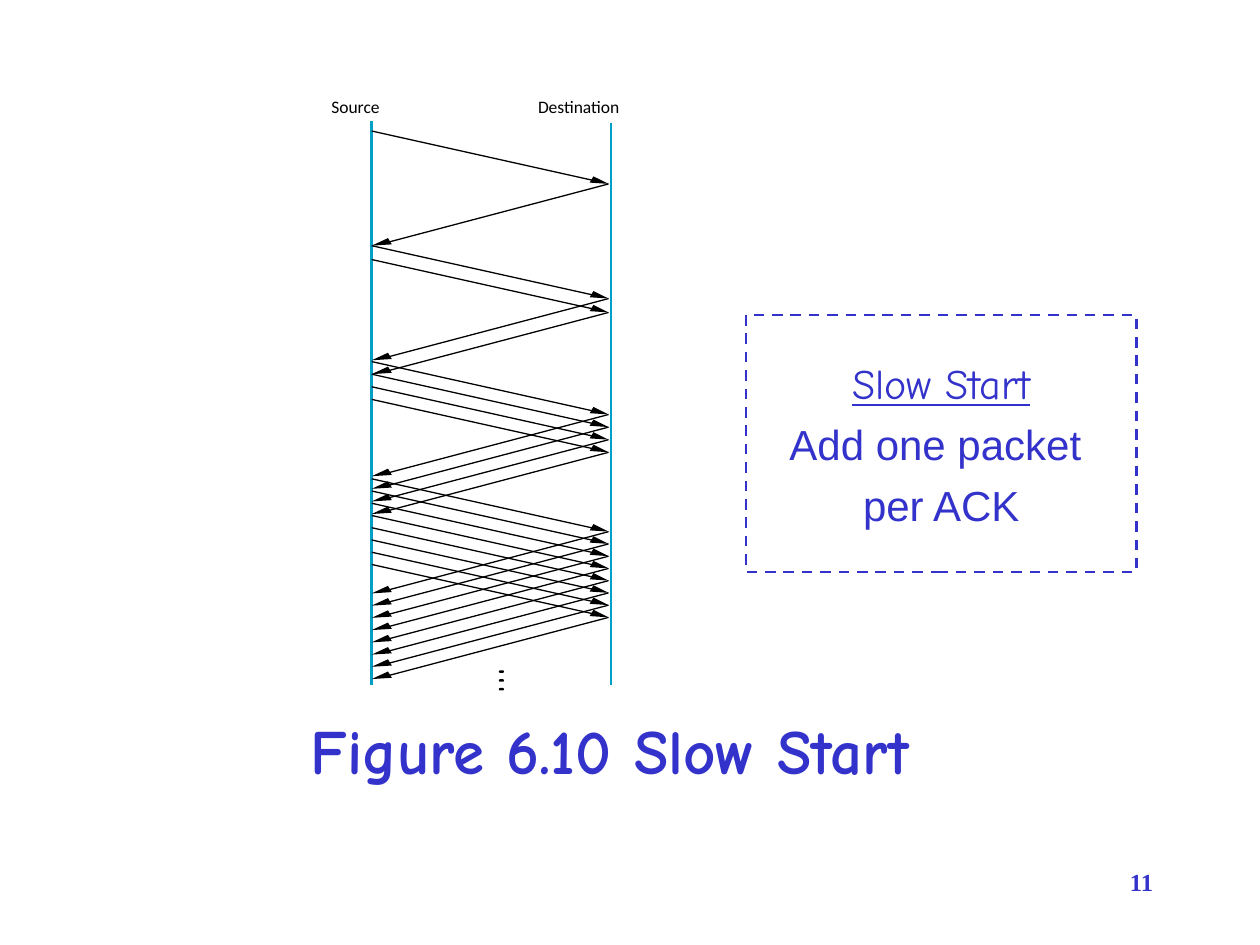
from lxml import etree
from pptx import Presentation
from pptx.dml.color import RGBColor
from pptx.enum.dml import MSO_LINE
from pptx.enum.shapes import MSO_CONNECTOR, MSO_SHAPE
from pptx.enum.text import MSO_ANCHOR, PP_ALIGN
from pptx.oxml.ns import qn
from pptx.util import Inches, Pt

STRAIGHT = MSO_CONNECTOR.STRAIGHT
DASH = MSO_LINE.DASH
RECTANGLE, ROUNDED = MSO_SHAPE.RECTANGLE, MSO_SHAPE.ROUNDED_RECTANGLE
MIDDLE = MSO_ANCHOR.MIDDLE
CENTER, RIGHT = PP_ALIGN.CENTER, PP_ALIGN.RIGHT

BLUE = RGBColor(0x33, 0x33, 0xCC)
TEAL = RGBColor(0x00, 0xA0, 0xC6)
BLACK = RGBColor(0, 0, 0)

prs = Presentation()
prs.slide_width, prs.slide_height = Inches(10), Inches(7.5)
slide = prs.slides.add_slide(prs.slide_layouts[5])


def style_font(paragraph, name, size, color, bold=False):
    font = paragraph.font
    font.name, font.size, font.bold = name, Pt(size), bold
    font.color.rgb = color


def add_line(start, end, color, width):
    line = diagram.add_connector(STRAIGHT, *map(Inches, start + end))
    line.line.color.rgb = color
    line.line.width = Pt(width)
    etree.SubElement(line._element.spPr, qn("a:effectLst"))


caption = slide.shapes.title
caption.left, caption.top = Inches(0.59), Inches(5.4)
caption.width, caption.height = Inches(8.5), Inches(1.09)
caption.text_frame.text = "Figure 6.10 Slow Start"
caption.text_frame.vertical_anchor = MIDDLE
caption_line = caption.text_frame.paragraphs[0]
caption_line.alignment = CENTER
style_font(caption_line, "Comic Neue", 36, BLUE, True)

diagram = slide.shapes.add_group_shape().shapes
for host, left, width, line_x, line_top in [
    ("Source", 2.63, 0.45, 2.95, 0.96),
    ("Destination", 4.27, 0.75, 4.85, 0.98),
]:
    label = diagram.add_textbox(Inches(left), Inches(0.76), Inches(width), Inches(0.17))
    frame = label.text_frame
    frame.margin_left = frame.margin_right = frame.margin_top = frame.margin_bottom = 0
    frame.word_wrap = False
    frame.text = host
    style_font(frame.paragraphs[0], "Calibri", 10, BLACK)
    add_line((line_x, line_top), (line_x, 5.44), TEAL, 1.5)

# first send time, last send time, packets in flight
rounds = [(1.04, 1.04, 1), (1.95, 2.06, 2), (2.87, 3.17, 4), (3.8, 4.48, 8)]
ACK_DELAY = 0.42
PACKET = (2.95, (4.7, 0.39), [(4.68, 0.41), (4.83, 0.42), (4.71, 0.36)])
ACK = (4.83, (3.09, 0.46), [(3.08, 0.43), (2.95, 0.49), (3.11, 0.48)])

for first, last, packets in rounds:
    gap = (last - first) / max(packets - 1, 1)
    for number in range(packets):
        sent = first + number * gap
        for (start_x, (end_x, drop), head), y in [(PACKET, sent), (ACK, sent + ACK_DELAY)]:
            add_line((start_x, y), (end_x, y + drop), BLACK, 0.75)
            corners = [(Inches(x), Inches(y + dy)) for x, dy in head]
            outline = diagram.build_freeform(*corners[0])
            outline.add_line_segments(corners[1:], close=True)
            arrowhead = outline.convert_to_shape()
            arrowhead.shadow.inherit = False
            arrowhead.fill.solid()
            arrowhead.fill.fore_color.rgb = BLACK
            arrowhead.line.fill.background()

for row in range(3):
    dot = diagram.add_shape(
        ROUNDED, Inches(3.96), Inches(5.32 + 0.07 * row), Inches(0.04), Inches(0.02)
    )
    dot.adjustments[0] = 0.5
    dot.shadow.inherit = False
    dot.fill.solid()
    dot.fill.fore_color.rgb = BLACK
    dot.line.fill.background()

rule_box = slide.shapes.add_shape(RECTANGLE, Inches(5.92), Inches(2.5), Inches(3.1), Inches(2.04))
rule_box.shadow.inherit = False
rule_box.fill.background()
rule_box.line.color.rgb = BLUE
rule_box.line.width = Pt(1.5)
rule_box.line.dash_style = DASH
rule_frame = rule_box.text_frame
rule_frame.word_wrap = False
rule_frame.vertical_anchor = MIDDLE
rule_frame.text = "Slow Start\nAdd one packet \nper ACK"
for paragraph, font_name in zip(rule_frame.paragraphs, ["Comic Neue", "Arial", "Arial"]):
    paragraph.alignment = CENTER
    style_font(paragraph, font_name, 24, BLUE)
for paragraph in rule_frame.paragraphs[1:]:
    paragraph.space_before = Pt(6)
rule_frame.paragraphs[0].font.underline = True

page_number = slide.shapes.add_textbox(Inches(7.75), Inches(6.83), Inches(1.5), Inches(0.5))
page_number.text_frame.word_wrap = True
page_number.text_frame.text = "11"
page_line = page_number.text_frame.paragraphs[0]
page_line.alignment = RIGHT
style_font(page_line, "Times New Roman", 14, BLUE, True)

prs.save("out.pptx")
